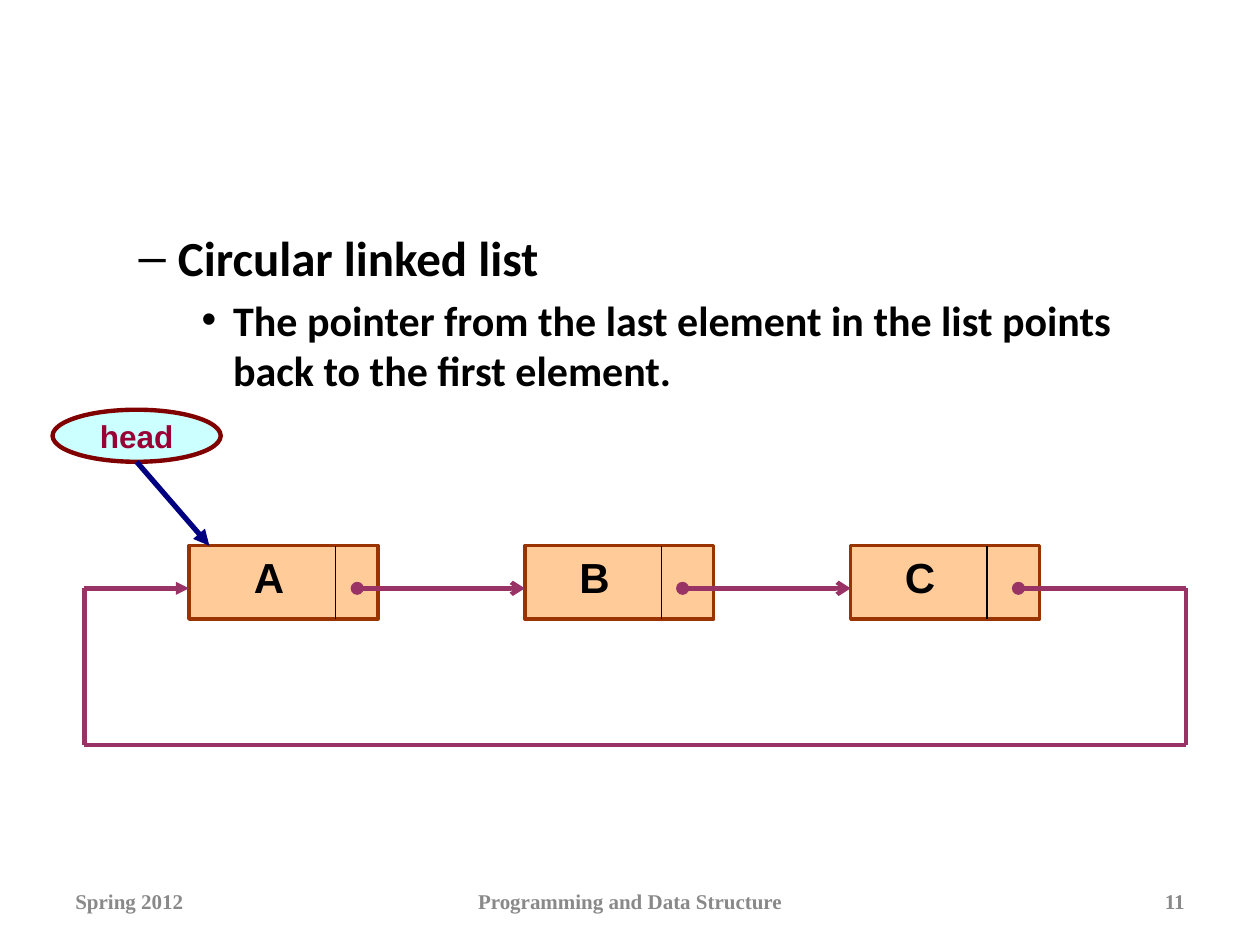
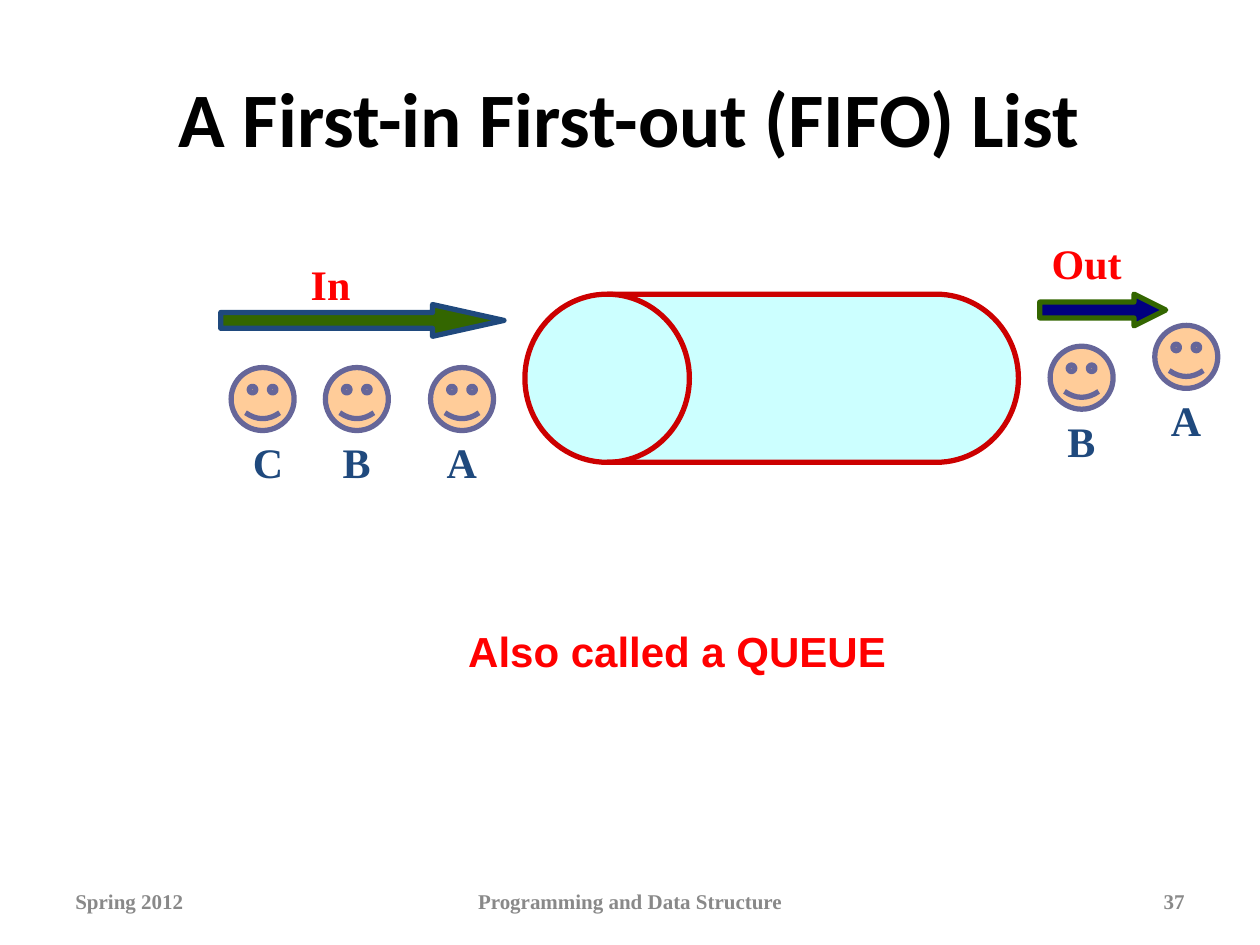
import pptx
import pptx.util
import pptx.dml.color
import pptx.enum.shapes
import pptx.enum.text
import pptx.oxml.ns
from lxml import etree

Cm = pptx.util.Cm
Pt = pptx.util.Pt
SHAPE = pptx.enum.shapes.MSO_SHAPE
ALIGN = pptx.enum.text.PP_ALIGN
MIDDLE = pptx.enum.text.MSO_ANCHOR.MIDDLE

SERIF, SANS = "Times New Roman", "Arial"
PEACH, AQUA, PLUM, NAVY = "FFCC99", "CCFFFF", "993366", "000080"
GREEN, BLUE, RED, BLACK = "336600", "1F497D", "FF0000", "000000"

TITLE_AREA = (1.27, 0.76, 22.86, 3.18)
BODY_AREA = (1.27, 4.45, 22.86, 12.57)
FOOTER_TOP, FOOTER_HEIGHT = 17.65, 1.02
FOOTERS = [
    ("Spring 2012", 1.27, 5.92, ALIGN.LEFT),
    ("Programming and Data Structure", 8.68, 8.05, ALIGN.CENTER),
    ("{number}", 18.2, 5.93, ALIGN.RIGHT),
]

CIRCULAR_LIST = [
    (1, "Circular linked list"),
    (2, "The pointer from the last element in the list points back to the first element."),
]
NODES = [
    ("A", 3.81, 4.87, 6.77, 7.2),
    ("B", 10.58, 11.43, 13.34, 13.76),
    ("C", 17.15, 17.99, 19.9, 20.53),
]
NODE_TOP, NODE_WIDTH, NODE_HEIGHT = 11, 3.81, 1.48
POINTER_Y = 11.86
LOOP_LEFT, LOOP_RIGHT, LOOP_BOTTOM = 1.7, 23.91, 15.02
HEAD = ("head", (1.06, 8.26, 3.39, 1.05))
HEAD_TARGET = 4.22

FIFO_TITLE = "A First-in First-out (FIFO) List"
DRUM = (10.58, 5.93, 9.95, 3.39)
FLOW_ARROWS = [
    ((4.45, 6.14, 5.71, 0.64), 2.25, GREEN, BLUE),
    ((20.96, 5.93, 2.54, 0.64), 1, NAVY, GREEN),
]
CAPTIONS = [
    ("Also called a QUEUE", (6.77, 12.49, 13.76, 1.27), SANS),
    ("In", (5.5, 5.08, 2.33, 1.27), SERIF),
    ("Out", (20.74, 4.66, 2.33, 1.27), SERIF),
]
FACE_SIZE = 1.27
PEOPLE = [
    ("A", 8.68, 7.41, 1.68),
    ("C", 4.66, 7.41, 1.91),
    ("B", 6.56, 7.41, 1.68),
    ("A", 23.28, 6.56, 1.68),
    ("B", 21.17, 6.98, 1.68),
]


def rgb(color):
    return pptx.dml.color.RGBColor.from_string(color)


def place(area):
    return [Cm(length) for length in area]


def write(frame, text, size, font, color, align):
    frame.text = text
    paragraph = frame.paragraphs[0]
    paragraph.alignment = align
    style = paragraph.runs[0].font
    style.size, style.name, style.bold = Pt(size), font, True
    style.color.rgb = rgb(color)


def add_label(shapes, text, area, size, font, color, align=ALIGN.CENTER):
    label = shapes.add_textbox(*place(area))
    label.text_frame.word_wrap = True
    write(label.text_frame, text, size, font, color, align)
    return label


def add_figure(shapes, preset, area, fill, outline, width):
    figure = shapes.add_shape(preset, *place(area))
    figure.shadow.inherit = False
    figure.fill.solid()
    figure.fill.fore_color.rgb = rgb(fill)
    figure.line.color.rgb = rgb(outline)
    figure.line.width = Pt(width)
    return figure


def add_line(shapes, start, end, color, width, **ends):
    line = shapes.add_connector(
        pptx.enum.shapes.MSO_CONNECTOR.STRAIGHT, *place(start + end))
    line.line.color.rgb = rgb(color)
    line.line.width = Pt(width)
    outline = line.line._get_or_add_ln()
    for end_name in ("headEnd", "tailEnd"):
        if end_name in ends:
            tag = pptx.oxml.ns.qn(f"a:{end_name}")
            etree.SubElement(outline, tag, type=ends[end_name])
    etree.SubElement(line._element.spPr, pptx.oxml.ns.qn("a:effectLst"))


def set_area(holder, area):
    holder.left, holder.top, holder.width, holder.height = place(area)


def add_slide(deck, layout, number):
    slide = deck.slides.add_slide(deck.slide_layouts[layout])
    for text, left, width, align in FOOTERS:
        area = (left, FOOTER_TOP, width, FOOTER_HEIGHT)
        footer = add_label(slide.shapes, text.format(number=number), area,
                           12, SERIF, "898989", align)
        footer.text_frame.vertical_anchor = MIDDLE
    return slide


def add_nodes(shapes):
    for _, left, *_ in NODES:
        add_figure(shapes, SHAPE.RECTANGLE,
                   (left, NODE_TOP, NODE_WIDTH, NODE_HEIGHT), PEACH, "993300", 2)
    targets = [node[1] for node in NODES[1:]] + [LOOP_RIGHT]
    for (letter, _, letter_left, divider, pointer), target in zip(NODES, targets):
        ends = {"headEnd": "oval"}
        if target != LOOP_RIGHT:
            ends["tailEnd"] = "arrow"
        add_line(shapes, (pointer, POINTER_Y), (target, POINTER_Y), PLUM, 2.5, **ends)
        add_line(shapes, (divider, NODE_TOP), (divider, NODE_TOP + NODE_HEIGHT),
                 BLACK, 0.75)
        add_label(shapes, letter, (letter_left, NODE_TOP, 1.68, 1.27),
                  24, SANS, BLACK, ALIGN.LEFT)


def add_loop(shapes):
    corners = [
        (LOOP_RIGHT, POINTER_Y), (LOOP_RIGHT, LOOP_BOTTOM),
        (LOOP_LEFT, LOOP_BOTTOM), (LOOP_LEFT, POINTER_Y),
    ]
    for start, end in zip(corners, corners[1:]):
        add_line(shapes, start, end, PLUM, 2.5)
    add_line(shapes, corners[-1], (NODES[0][1], POINTER_Y), PLUM, 2.5,
             tailEnd="triangle")


def add_head(shapes):
    text, area = HEAD
    left, top, width, height = area
    head = add_figure(shapes, SHAPE.OVAL, area, AQUA, "800000", 2.5)
    head.text_frame.word_wrap = False
    head.text_frame.vertical_anchor = MIDDLE
    write(head.text_frame, text, 18, SANS, "990033", ALIGN.CENTER)
    add_line(shapes, (left + width / 2, top + height), (HEAD_TARGET, NODE_TOP),
             NAVY, 3, tailEnd="triangle")


def build_circular_list(deck):
    slide = add_slide(deck, 1, 11)
    title = slide.shapes.title._element
    title.getparent().remove(title)
    body = slide.placeholders[1]
    set_area(body, BODY_AREA)
    body.text_frame.text = "\n".join(text for _, text in CIRCULAR_LIST)
    for paragraph, (level, _) in zip(body.text_frame.paragraphs, CIRCULAR_LIST):
        paragraph.level = level
        paragraph.runs[0].font.bold = True
    body.text_frame.paragraphs[0].space_before = Pt(0)
    diagram = slide.shapes.add_group_shape().shapes
    add_nodes(diagram)
    add_loop(diagram)
    add_head(diagram)


def build_fifo(deck):
    slide = add_slide(deck, 5, 37)
    title = slide.shapes.title
    set_area(title, TITLE_AREA)
    title.text_frame.text = FIFO_TITLE
    title.text_frame.paragraphs[0].runs[0].font.bold = True
    drum = add_figure(slide.shapes, SHAPE.FLOWCHART_DIRECT_ACCESS_STORAGE, DRUM,
                      AQUA, "CC0000", 3)
    drum.rotation = 180
    for area, head_length, fill, outline in FLOW_ARROWS:
        arrow = add_figure(slide.shapes, SHAPE.RIGHT_ARROW, area, fill, outline, 3)
        arrow.adjustments[1] = head_length
    for text, area, font in CAPTIONS:
        add_label(slide.shapes, text, area, 24, font, RED)
    for letter, left, top, label_width in PEOPLE:
        person = slide.shapes.add_group_shape().shapes
        add_figure(person, SHAPE.SMILEY_FACE, (left, top, FACE_SIZE, FACE_SIZE),
                   PEACH, "666699", 3)
        add_label(person, letter, (left - 0.21, top + FACE_SIZE, label_width, 1.27),
                  24, SERIF, BLUE)


def main():
    deck = pptx.Presentation()
    deck.slide_width, deck.slide_height = Cm(25.4), Cm(19.05)
    build_circular_list(deck)
    build_fifo(deck)
    deck.save("out.pptx")


if __name__ == "__main__":
    main()
